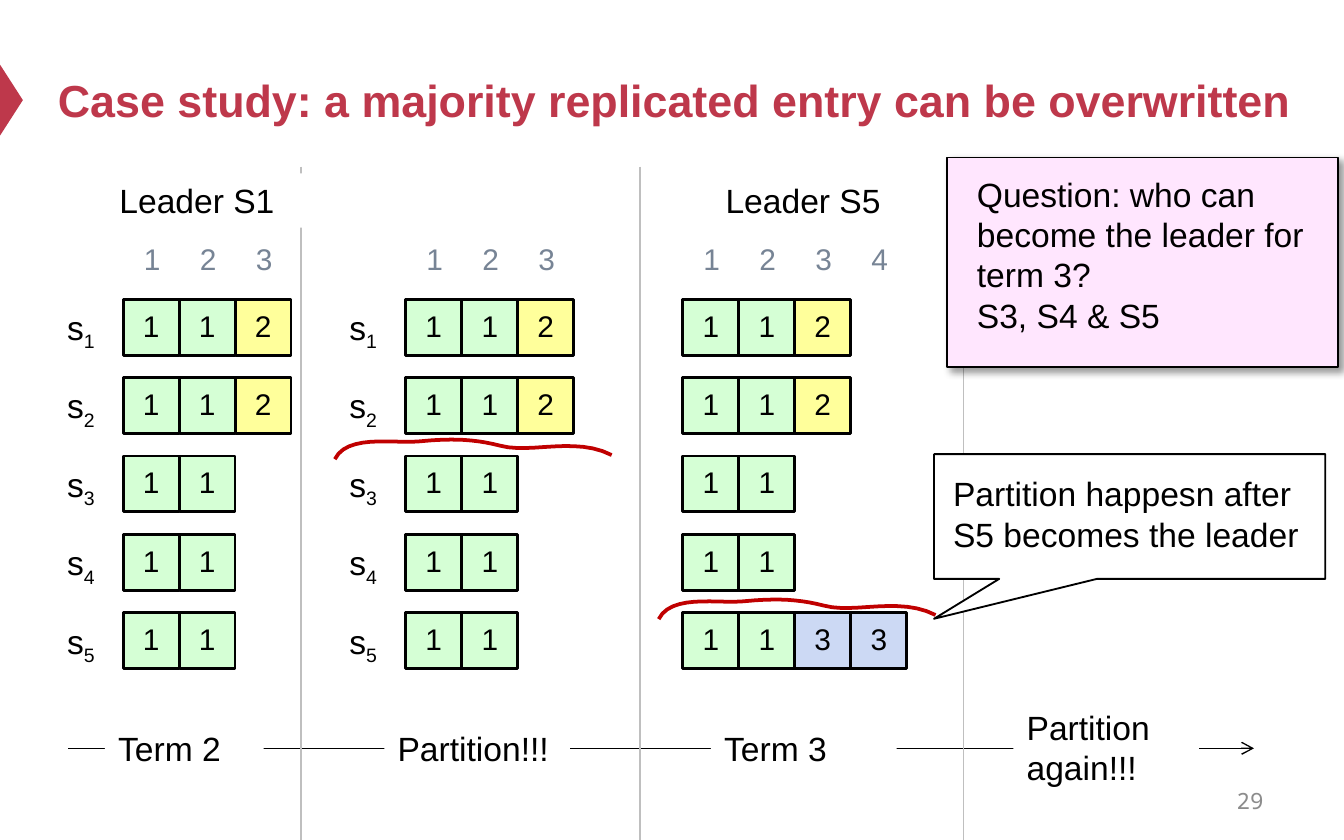
import pptx
import pptx.util
import pptx.dml.color
import pptx.enum.shapes
import pptx.enum.text
import pptx.oxml
import pptx.oxml.ns

Pt = pptx.util.Pt
Kind = pptx.enum.shapes.MSO_SHAPE
Align = pptx.enum.text.PP_ALIGN
Anchor = pptx.enum.text.MSO_ANCHOR

RED, BLACK, WHITE, GREY = "BE384B", "000000", "FFFFFF", "778495"
TERM_FILL = {1: "D5FFD5", 2: "FFFF9B", 3: "CCD9F4"}
CELL = 30
ROW_TOP, ROW_STEP = 160.3, 42
LOGS = [[1, 1, 2], [1, 1, 2], [1, 1], [1, 1], [1, 1]]
LOGS_S5 = LOGS[:4] + [[1, 1, 3, 3]]
# Bezier points of the cut line, relative to its top left
WAVE = [(0, 10.8), (6.5, -2.2), (29.5, 2.2), (44, 1.4), (59, 0),
        (72, -0.7), (88.6, 3.6), (105, 8), (129, -1.4), (148.3, 8.6)]


def color(hex_code):
    return pptx.dml.color.RGBColor.from_string(hex_code)


def paint(item, fill, line=None, width=1):
    item.fill.solid()
    item.fill.fore_color.rgb = color(fill)
    if line:
        item.line.color.rgb = color(line)
        item.line.width = Pt(width)
    else:
        item.line.fill.background()


def add_run(para, text, size, hue=BLACK, font="Arial", bold=False):
    run = para.add_run()
    run.text = text
    run.font.name, run.font.size = font, Pt(size)
    run.font.bold = bold
    run.font.color.rgb = color(hue)
    return run


def set_frame(frame, anchor, left, top, right, base):
    frame.word_wrap = True
    frame.vertical_anchor = anchor
    frame.margin_left, frame.margin_top = Pt(left), Pt(top)
    frame.margin_right, frame.margin_bottom = Pt(right), Pt(base)


def add_shape(slide, kind, x, y, w, h, fill, line=None, width=1):
    shape = slide.shapes.add_shape(kind, Pt(x), Pt(y), Pt(w), Pt(h))
    shape.shadow.inherit = False
    paint(shape, fill, line, width)
    return shape


def add_text(slide, x, y, w, h, text, size=18, hue=BLACK, fill=None):
    box = slide.shapes.add_textbox(Pt(x), Pt(y), Pt(w), Pt(h))
    set_frame(box.text_frame, Anchor.TOP, 7.2, 3.6, 7.2, 3.6)
    if fill:
        paint(box, fill)
    add_run(box.text_frame.paragraphs[0], text, size, hue)


def add_line(slide, x1, y1, x2, y2, hue, arrow=False):
    line = slide.shapes.add_connector(
        pptx.enum.shapes.MSO_CONNECTOR.STRAIGHT, Pt(x1), Pt(y1), Pt(x2), Pt(y2))
    line.line.color.rgb = color(hue)
    line.line.width = Pt(0.75)
    props = line._element.spPr
    props.append(pptx.oxml.parse_xml(
        f"<a:effectLst {pptx.oxml.ns.nsdecls('a')}/>"))
    if arrow:
        line.line._get_or_add_ln().append(pptx.oxml.parse_xml(
            f"<a:tailEnd {pptx.oxml.ns.nsdecls('a')} type='arrow'/>"))


def add_cell(slide, x, y, term):
    cell = add_shape(slide, Kind.RECTANGLE, x, y, CELL, CELL,
                     TERM_FILL[term], BLACK, 1.5)
    set_frame(cell.text_frame, Anchor.MIDDLE, 0, 0, 0, 0)
    para = cell.text_frame.paragraphs[0]
    para.alignment = Align.CENTER
    para.line_spacing = Pt(17)
    add_run(para, str(term), 16)


def add_logs(slide, x, logs):
    for col in range(max(map(len, logs))):
        add_text(slide, x + 4 + col * CELL, 125.3, CELL, 26.6,
                 str(col + 1), 16, GREY)
    for row, log in enumerate(logs):
        for col, term in enumerate(log):
            add_cell(slide, x + col * CELL, ROW_TOP + row * ROW_STEP, term)


def add_names(slide, x):
    for row in range(5):
        box = slide.shapes.add_textbox(
            Pt(x), Pt(164.4 + row * ROW_STEP), Pt(CELL), Pt(21.6))
        set_frame(box.text_frame, Anchor.TOP, 0, 0, 0, 0)
        para = box.text_frame.paragraphs[0]
        add_run(para, "s", 18)
        sub = add_run(para, str(row + 1), 18)
        sub._r.get_or_add_rPr().set("baseline", "-25000")


def add_wave(slide, x, y, steps=12):
    points = []
    for first in range(0, len(WAVE) - 1, 3):
        for step in range(1, steps + 1):
            t = step / steps
            parts = ((1 - t) ** 3, 3 * t * (1 - t) ** 2, 3 * t * t * (1 - t), t ** 3)
            pairs = list(zip(parts, WAVE[first:first + 4]))
            points.append((Pt(x + sum(k * p[0] for k, p in pairs)),
                           Pt(y + sum(k * p[1] for k, p in pairs))))
    form = slide.shapes.build_freeform(Pt(x + WAVE[0][0]), Pt(y + WAVE[0][1]))
    form.add_line_segments(points, close=False)
    wave = form.convert_to_shape()
    wave.shadow.inherit = False
    wave.fill.background()
    wave.line.color.rgb = color("C00000")
    wave.line.width = Pt(2)


def add_note(slide, kind, x, y, w, h, fill, lines, left, top):
    note = add_shape(slide, kind, x, y, w, h, fill, BLACK)
    frame = note.text_frame
    set_frame(frame, Anchor.TOP, left, top, 0, 0)
    for i, text in enumerate(lines):
        para = frame.add_paragraph() if i else frame.paragraphs[0]
        para.alignment = Align.LEFT
        add_run(para, text, 18)
    return note


def add_shadow(shape):
    effects = shape._element.spPr.find(pptx.oxml.ns.qn("a:effectLst"))
    effects.append(pptx.oxml.parse_xml(
        f"<a:outerShdw {pptx.oxml.ns.nsdecls('a')} blurRad='{Pt(4)}' dist='{Pt(3)}'"
        " dir='2700000' algn='tl' rotWithShape='0'><a:srgbClr val='000000'>"
        "<a:alpha val='40000'/></a:srgbClr></a:outerShdw>"))


def add_title(slide, text):
    title = slide.shapes.title
    title.left, title.top = Pt(23.8), Pt(18)
    title.width, title.height = Pt(710.6), Pt(70.6)
    set_frame(title.text_frame, Anchor.MIDDLE, 7.2, 3.6, 7.2, 3.6)
    para = title.text_frame.paragraphs[0]
    para.alignment = Align.LEFT
    add_run(para, text, 24, RED, bold=True)


def add_number(slide, text):
    box = slide.shapes.add_textbox(Pt(516.2), Pt(416.9), Pt(167.8), Pt(23.8))
    set_frame(box.text_frame, Anchor.MIDDLE, 7.2, 3.6, 7.2, 3.6)
    para = box.text_frame.paragraphs[0]
    para.alignment = Align.RIGHT
    add_run(para, text, 12, "8C8C8C", "Noto Sans Mono")


def main():
    deck = pptx.Presentation()
    deck.slide_width, deck.slide_height = Pt(720), Pt(450)
    slide = deck.slides.add_slide(deck.slide_layouts[5])

    # Title, side mark and page number
    mark = add_shape(slide, Kind.ISOSCELES_TRIANGLE, -13, 47.5, 38.2, 12.3, RED)
    mark.rotation = 90
    add_title(slide, "Case study: a majority replicated entry can be overwritten")
    add_number(slide, "29")

    # Timeline and phase dividers
    add_line(slide, 36.7, 400.9, 671.8, 400.9, BLACK, arrow=True)
    for x, top in ((161.3, 89.3), (342.9, 89.3), (516.1, 92.9)):
        add_line(slide, x, top, x, top + 373.7, "BFBFBF")

    # Labels that interrupt the lines
    for x, y, w, h, text in (
            (56.9, 92.9, 107.3, 29.1, "Leader S1"),
            (381.6, 92.9, 107.3, 29.1, "Leader S5"),
            (56.2, 386.2, 85, 29.1, "Term 2"),
            (205.9, 386.4, 99.4, 29.1, "Partition!!!"),
            (380.9, 386.2, 99.4, 29.1, "Term 3"),
            (542.9, 375.1, 99.4, 50.9, "Partition again!!!")):
        add_text(slide, x, y, w, h, text, fill=WHITE)

    # Server logs in each phase
    for x, logs in ((66, LOGS), (217.4, LOGS), (365.8, LOGS_S5)):
        add_logs(slide, x, logs)
    for x in (36, 187.2):
        add_names(slide, x)

    # Network partitions
    add_wave(slide, 179.4, 235.2)
    add_wave(slide, 352.9, 320.9)

    # Question and remark
    ask = add_note(slide, Kind.RECTANGLE, 507.4, 84.4, 209.6, 112.2, "FFE6FE",
                   ["Question: who can become the leader for term 3?",
                    "S3, S4 & S5"], 16, 8.6)
    add_shadow(ask)
    remark = add_note(slide, Kind.RECTANGULAR_CALLOUT, 500.4, 243.3, 209.6, 66.8,
                      WHITE, ["Partition happesn after", "S5 becomes the leader"],
                      10.2, 10.2)
    remark.adjustments[0], remark.adjustments[1] = -0.5, 0.82

    deck.save("out.pptx")


if __name__ == "__main__":
    main()
